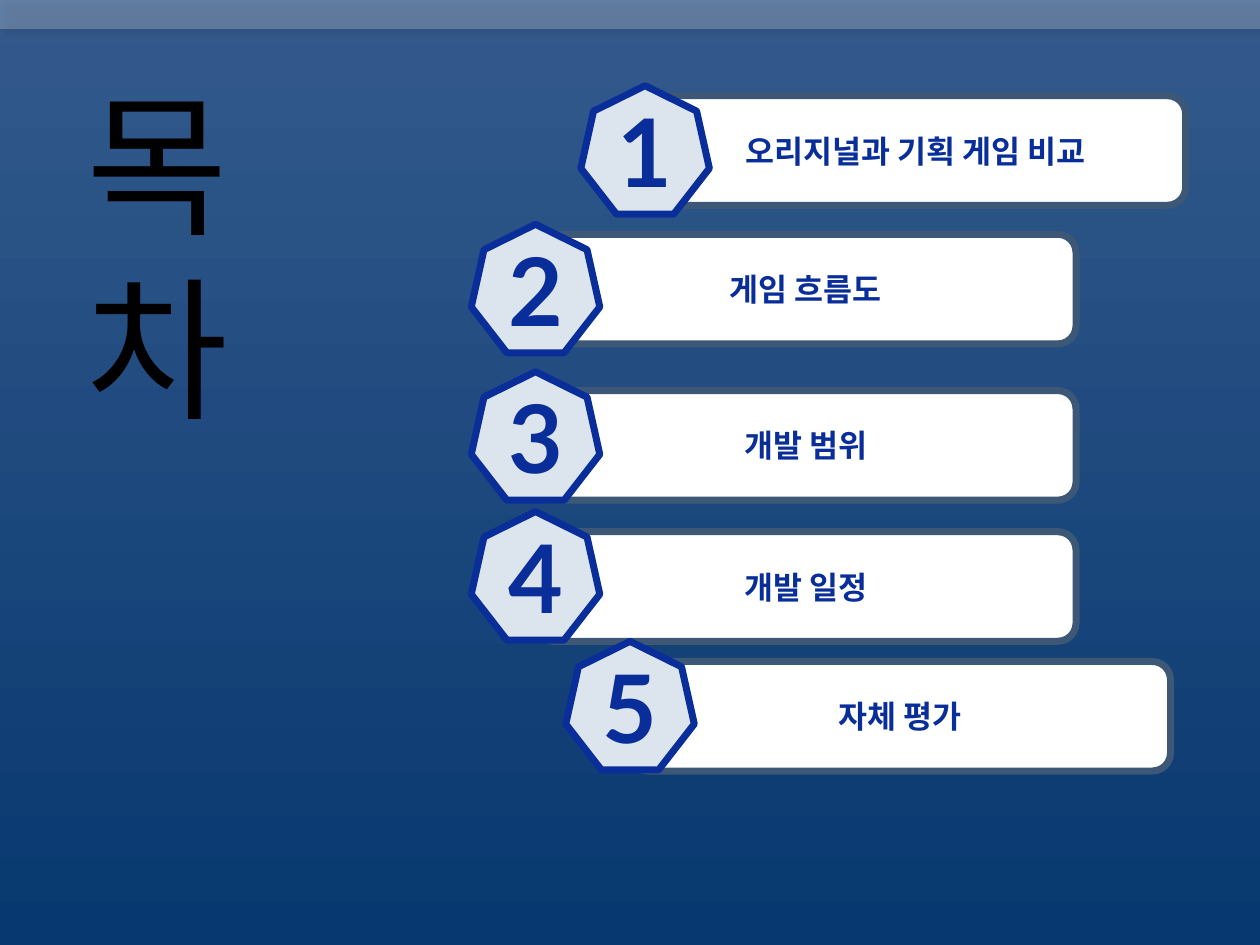
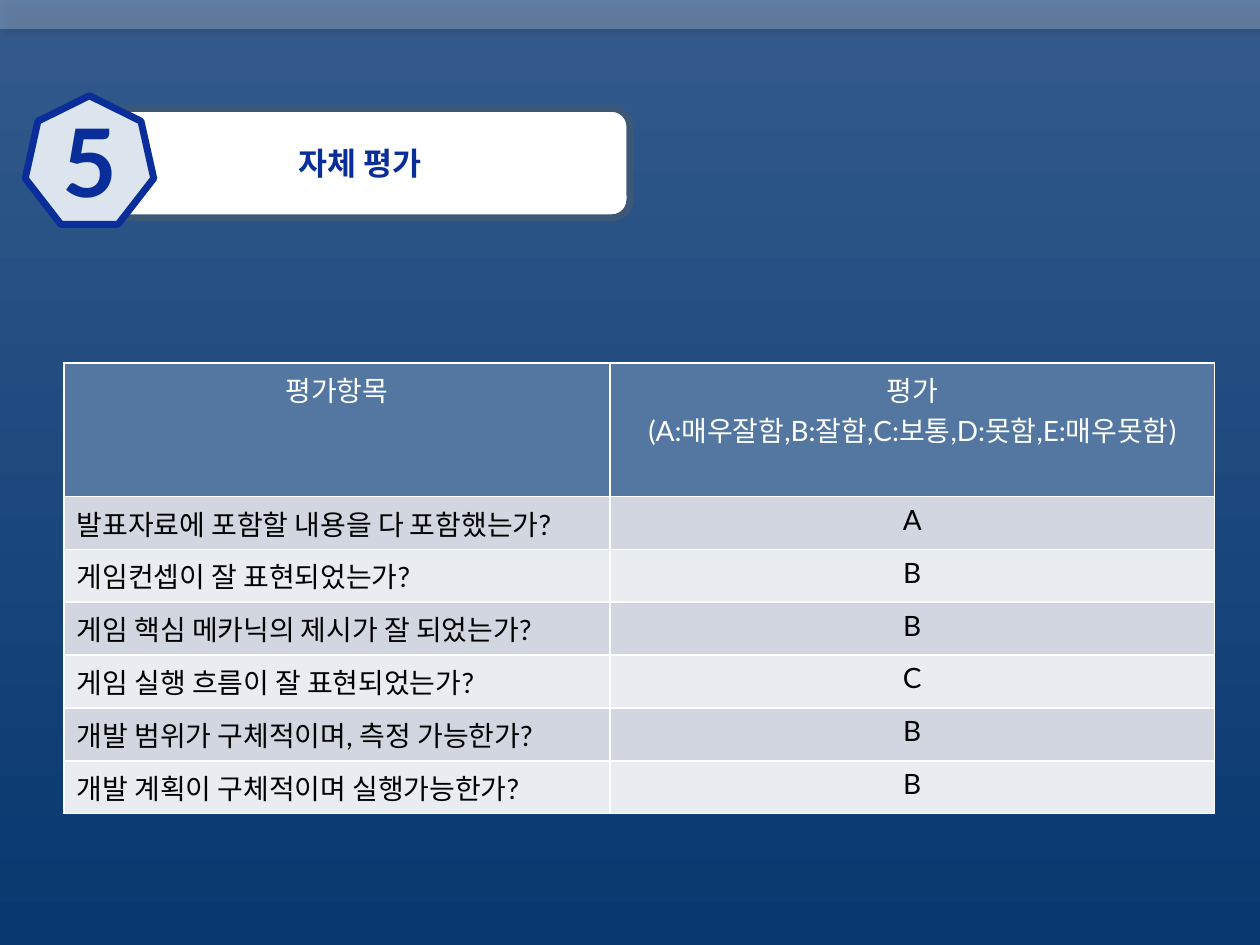
from dataclasses import dataclass

from lxml.etree import SubElement
from pptx import Presentation
from pptx.dml.color import RGBColor
from pptx.enum.shapes import MSO_SHAPE as Preset
from pptx.enum.text import MSO_ANCHOR as Anchor, PP_ALIGN as Align
from pptx.oxml.ns import qn
from pptx.util import Emu, Inches, Pt

COLORS = {
    "sky": "345A8C", "deep": "07386F", "white": "FFFFFF", "black": "000000",
    "ink": "092E99", "frame": "3D5877", "badge": "DCE4ED",
    "header": "5377A1", "odd": "D1D6E0", "even": "E9ECF0",
}
FONT = "Lato"
COLUMNS, ROWS = 100, 75
SLIDE_W, SLIDE_H = Inches(10), Inches(7.5)
PANEL_W, PANEL_H = 42.9, 8.7
BADGE_SIZE, BADGE_OVERHANG = 10.2, 5.1


@dataclass(frozen=True)
class Heading:
    number: int
    label: str
    column: float
    row: float
    lift: float  # rows the badge rises above its panel


CONTENTS = [
    Heading(1, "오리지널과 기획 게임 비교", 51.2, 7.6, 0.8),
    Heading(2, "게임 흐름도", 42.5, 18.6, 0.8),
    Heading(3, "개발 범위", 42.5, 31, 1.5),
    Heading(4, "개발 일정", 42.5, 42.2, 1.6),
    Heading(5, "자체 평가", 50, 52.5, 1.6),
]
EVALUATION = Heading(5, "자체 평가", 7.1, 8.6, 1)
CRITERIA_HEADER = ("평가항목", "평가\n(A:매우잘함,B:잘함,C:보통,D:못함,E:매우못함)")
GRADES = [
    ("발표자료에 포함할 내용을 다 포함했는가?", "A"),
    ("게임컨셉이 잘 표현되었는가?", "B"),
    ("게임 핵심 메카닉의 제시가 잘 되었는가?", "B"),
    ("게임 실행 흐름이 잘 표현되었는가?", "C"),
    ("개발 범위가 구체적이며, 측정 가능한가?", "B"),
    ("개발 계획이 구체적이며 실행가능한가?", "B"),
]


def cols(count: float) -> Emu:
    return Emu(round(SLIDE_W * count / COLUMNS))


def rows(count: float) -> Emu:
    return Emu(round(SLIDE_H * count / ROWS))


def grid(column: float, row: float, width: float, height: float) -> tuple:
    return cols(column), rows(row), cols(width), rows(height)


def rgb(name: str) -> RGBColor:
    return RGBColor.from_string(COLORS[name])


def add_color(parent, name: str, alpha: int):
    color = SubElement(parent, qn("a:srgbClr"), val=COLORS[name])
    SubElement(color, qn("a:alpha"), val=str(alpha * 1000))


def write(frame, text: str, *, size: float, color: str, bold=False, align=Align.LEFT):
    for index, line in enumerate(text.split("\n")):
        paragraph = frame.add_paragraph() if index else frame.paragraphs[0]
        paragraph.alignment = align
        run = paragraph.add_run()
        run.text = line
        run.font.name, run.font.size, run.font.bold = FONT, Pt(size), bold
        run.font.color.rgb = rgb(color)


def add_block(slide, preset, box: tuple, fill: str, outline: str, text: str, size: float):
    block = slide.shapes.add_shape(preset, *grid(*box))
    block.shadow.inherit = False
    block.fill.solid()
    block.fill.fore_color.rgb = rgb(fill)
    block.line.color.rgb = rgb(outline)
    block.line.width = Pt(4)
    block.text_frame.vertical_anchor = Anchor.MIDDLE
    write(block.text_frame, text, size=size, color="ink", bold=True, align=Align.CENTER)


def add_heading(slide, heading: Heading):
    add_block(slide, Preset.FLOWCHART_ALTERNATE_PROCESS,
              (heading.column, heading.row, PANEL_W, PANEL_H),
              "white", "frame", heading.label, 18)
    add_block(slide, Preset.HEPTAGON,
              (heading.column - BADGE_OVERHANG, heading.row - heading.lift,
               BADGE_SIZE, BADGE_SIZE),
              "badge", "ink", str(heading.number), 54)


def add_base(deck):
    """Blank slide with the shared gradient and translucent top band."""
    slide = deck.slides.add_slide(deck.slide_layouts[6])
    backdrop = slide.background.fill
    backdrop.gradient()
    backdrop.gradient_angle = 270
    for stop, position, name in zip(backdrop.gradient_stops, (0, 1), ("sky", "deep")):
        stop.position = position
        stop.color.rgb = rgb(name)

    band = slide.shapes.add_shape(Preset.RECTANGLE, *grid(0, 0, COLUMNS, 2.3))
    band.shadow.inherit = False
    band.fill.solid()
    band.fill.fore_color.rgb = rgb("white")
    band.line.fill.background()
    properties = band.fill._xPr
    solid = properties.find(qn("a:solidFill"))
    solid.remove(solid[0])
    add_color(solid, "white", 23)
    shadow = SubElement(properties.find(qn("a:effectLst")), qn("a:outerShdw"),
                        blurRad=str(Pt(4)), dist=str(Pt(3)), dir=str(45 * 60000))
    add_color(shadow, "black", 40)
    return slide


def fill_cell(cell, text: str, fill: str, color: str, align):
    write(cell.text_frame, text, size=16, color=color, align=align)
    properties = cell._tc.get_or_add_tcPr()
    for side in ("lnL", "lnR", "lnT", "lnB"):
        border = SubElement(properties, qn(f"a:{side}"), w=str(Pt(1)))
        add_color(SubElement(border, qn("a:solidFill")), "white", 100)
    cell.fill.solid()
    cell.fill.fore_color.rgb = rgb(fill)


def add_grades(slide):
    table = slide.shapes.add_table(len(GRADES) + 1, 2, *grid(5.1, 28.8, 91.3, 35.8)).table
    table.first_row = table.horz_banding = False
    for column, width in zip(table.columns, (43.3, 48)):
        column.width = cols(width)
    for index, entry in enumerate([CRITERIA_HEADER, *GRADES]):
        is_header = index == 0
        table.rows[index].height = rows(10.6 if is_header else 4.2)
        fill = "header" if is_header else "odd" if index % 2 else "even"
        for position, text in enumerate(entry):
            centred = is_header or position == 1
            fill_cell(table.cell(index, position), text, fill,
                      "white" if is_header else "black",
                      Align.CENTER if centred else Align.LEFT)


def build_contents(deck):
    slide = add_base(deck)
    for heading in CONTENTS:
        add_heading(slide, heading)
    title = slide.shapes.add_textbox(*grid(5.9, 5, 18.1, 30.4)).text_frame
    title.word_wrap = True
    write(title, "목\n차", size=88, color="black")


def build_evaluation(deck):
    slide = add_base(deck)
    add_grades(slide)
    add_heading(slide, EVALUATION)


def main():
    deck = Presentation()
    deck.slide_width, deck.slide_height = SLIDE_W, SLIDE_H
    build_contents(deck)
    build_evaluation(deck)
    deck.save("out.pptx")


if __name__ == "__main__":
    main()
